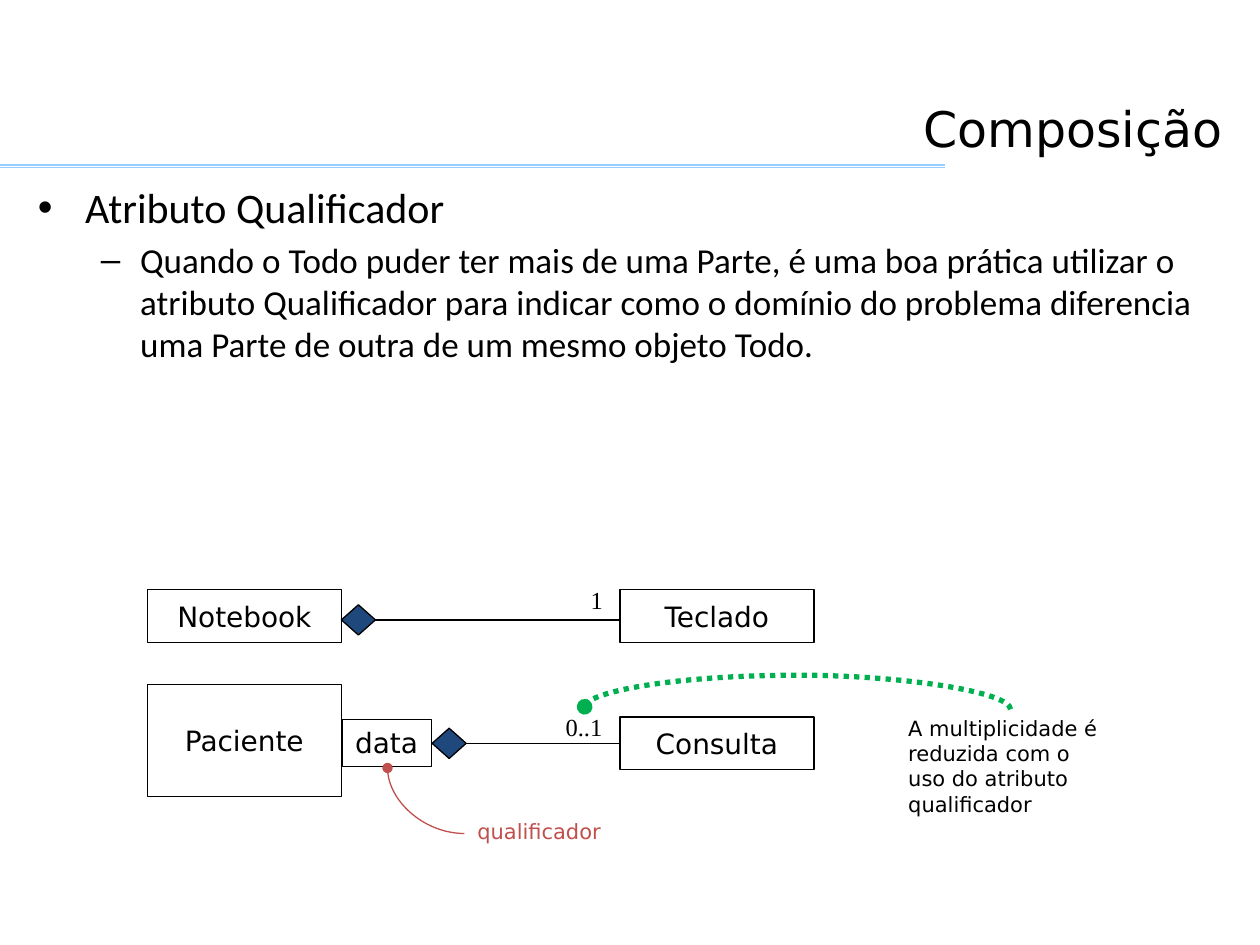
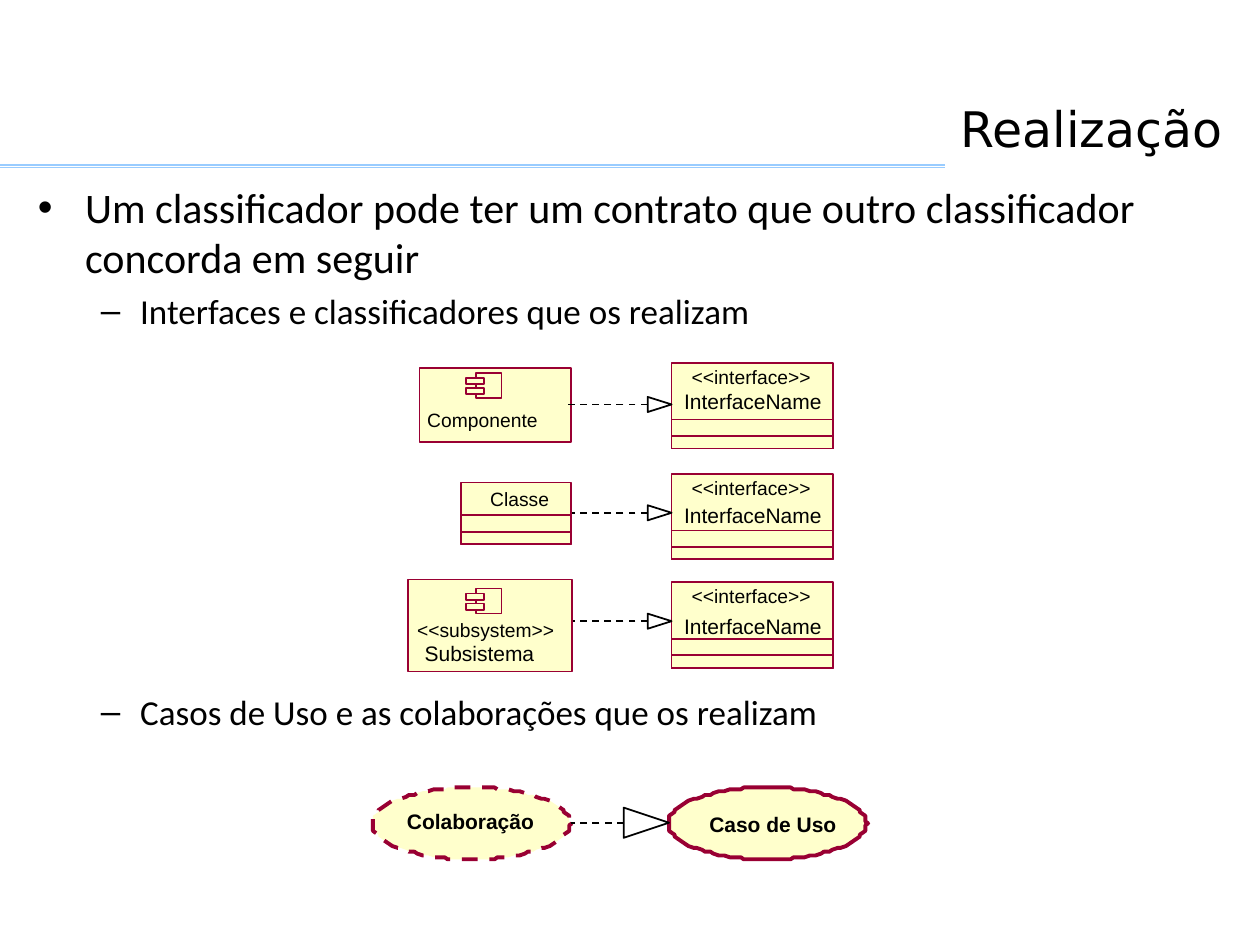
"""Build two UML slides on composition and realization."""
import math

import lxml.etree
import pptx
import pptx.dml.color
import pptx.enum.dml
import pptx.enum.shapes
import pptx.enum.text
import pptx.oxml.ns
import pptx.util

PX = 9144
RGB = pptx.dml.color.RGBColor
BLACK = RGB(0x00, 0x00, 0x00)
WHITE = RGB(0xFF, 0xFF, 0xFF)
RULE = RGB(0x99, 0xCC, 0xFF)
NAVY = RGB(0x1F, 0x49, 0x7D)
RED = RGB(0xC0, 0x50, 0x4D)
GREEN = RGB(0x00, 0xB0, 0x50)
CREAM = RGB(0xFF, 0xFF, 0xCC)
WINE = RGB(0x99, 0x00, 0x33)
SANS, SERIF, ARIAL, BODY = "DejaVu Sans", "Times New Roman", "Arial", "Calibri"
DASH = pptx.enum.dml.MSO_LINE.DASH
DOTS = pptx.enum.dml.MSO_LINE.ROUND_DOT
SHAPE = pptx.enum.shapes.MSO_SHAPE
CONNECTOR = pptx.enum.shapes.MSO_CONNECTOR
ALIGN = pptx.enum.text.PP_ALIGN
ANCHOR = pptx.enum.text.MSO_ANCHOR
FIT = pptx.enum.text.MSO_AUTO_SIZE
qn = pptx.oxml.ns.qn


def px(*values):
    return [pptx.util.Emu(round(v * PX)) for v in values]


class Deck:
    def __init__(self):
        self.prs = pptx.Presentation()
        self.prs.slide_width, self.prs.slide_height = px(1000, 750)
        self.s = None

    def font(self, p, size, name, color=BLACK, bold=False):
        f = p.font
        f.size, f.name, f.bold = pptx.util.Pt(size), name, bold
        f.color.rgb = color

    def stroke(self, line, color, width, dash=None):
        line.color.rgb = color
        line.width = pptx.util.Pt(width)
        if dash:
            line.dash_style = dash

    def place(self, sp, *box):
        sp.left, sp.top, sp.width, sp.height = px(*box)

    def slide(self, title, items):
        self.s = self.prs.slides.add_slide(self.prs.slide_layouts[1])
        sp = self.s.shapes.title
        self.place(sp, 18, 28, 962, 102)
        tf = sp.text_frame
        tf.text = title
        tf.vertical_anchor = ANCHOR.BOTTOM
        tf.paragraphs[0].alignment = ALIGN.RIGHT
        self.font(tf.paragraphs[0], 28, SANS)
        sp = self.s.placeholders[1]
        self.place(sp, 20, 139, 961, 590)
        tf = sp.text_frame
        tf.auto_size = FIT.NONE
        for i, (level, text, before) in enumerate(items):
            p = tf.add_paragraph() if i else tf.paragraphs[0]
            p.text, p.level = text, level
            if before is not None:
                p.space_before = pptx.util.Pt(before)
            self.font(p, 20 if level else 24, BODY)
        for y in (131, 133):
            self.line(0, y, 750, y, RULE)

    def connector(self, kind, ends, color, width, dash=None):
        c = self.s.shapes.add_connector(kind, *px(*ends))
        self.stroke(c.line, color, width, dash)
        lxml.etree.SubElement(c.element.spPr, qn("a:effectLst"))
        return c

    def line(self, x1, y1, x2, y2, color=BLACK, width=0.75, dash=None):
        return self.connector(CONNECTOR.STRAIGHT, (x1, y1, x2, y2), color, width, dash)

    def curve(self, x, y, w, h, preset, flip, oval, color, width, dash=None, bend=None):
        c = self.connector(CONNECTOR.CURVE, (x, y, x + w, y + h), color, width, dash)
        c.rotation = 270
        c.element.spPr.find(qn("a:xfrm")).set(flip, "1")
        geom = c.element.spPr.find(qn("a:prstGeom"))
        geom.set("prst", preset)
        if bend:
            lxml.etree.SubElement(geom.find(qn("a:avLst")), qn("a:gd"),
                                  name="adj1", fmla=f"val {bend}")
        ln = c.element.spPr.find(qn("a:ln"))
        lxml.etree.SubElement(ln, qn(oval), type="oval")

    def paint(self, sp, fill, color, width, dash=None):
        sp.shadow.inherit = False
        if fill is None:
            sp.fill.background()
        else:
            sp.fill.solid()
            sp.fill.fore_color.rgb = fill
        self.stroke(sp.line, color, width, dash)

    def shape(self, x, y, w, h, fill=CREAM, color=WINE, width=1, kind=SHAPE.RECTANGLE):
        sp = self.s.shapes.add_shape(kind, *px(x, y, w, h))
        self.paint(sp, fill, color, width)
        return sp

    def box(self, text, x, y, w, h, fill=WHITE, width=0.75, align=ALIGN.CENTER, anchor=ANCHOR.MIDDLE):
        tf = self.shape(x, y, w, h, fill, BLACK, width).text_frame
        tf.word_wrap = False
        tf.vertical_anchor = anchor
        tf.text = text
        tf.paragraphs[0].alignment = align
        self.font(tf.paragraphs[0], 16, SANS)

    def text(self, text, x, y, w, h, size, name, color=BLACK, bold=False, wrap=False, inset=True):
        tf = self.s.shapes.add_textbox(*px(x, y, w, h)).text_frame
        tf.word_wrap = wrap
        tf.auto_size = FIT.SHAPE_TO_FIT_TEXT
        if not inset:
            tf.margin_left = tf.margin_top = tf.margin_right = tf.margin_bottom = 0
        tf.text = text
        self.font(tf.paragraphs[0], size, name, color, bold)

    def label(self, text, x, y, w, size=11, bold=False):
        self.text(text, x, y, w, size + 8, size, ARIAL, bold=bold, inset=False)

    def outline(self, points, fill, color, width, dash=None):
        points = [px(*pt) for pt in points]
        fb = self.s.shapes.build_freeform(*points[0])
        fb.add_line_segments(points[1:], close=True)
        self.paint(fb.convert_to_shape(), fill, color, width, dash)

    def diamond(self, x, y):
        self.shape(x, y, 27, 24, NAVY, BLACK, 0.75, SHAPE.DIAMOND)

    def classifier(self, x, y, w, h):
        for part in (h, 23, 10):
            self.shape(x, y + h - part, w, part)

    def component_icon(self, y):
        self.shape(378, y, 20, 20)
        for dy in (12, 4):
            self.shape(370, y + dy, 14, 5)

    def realization(self, x, tip, y, length, half):
        base = tip - length
        self.line(base, y, x, y, BLACK, 1, DASH)
        self.outline([(tip, y), (base, y + half), (base, y - half)], None, BLACK, 1)

    def use_case(self, x, y, dash=None):
        angles = [2 * math.pi * i / 112 for i in range(112)]
        points = [(x + math.floor(36 + 36 * math.cos(a)) * 158 / 72,
                   y + round(19 + 19 * math.sin(a)) * 1.5) for a in angles]
        self.outline(points, CREAM, WINE, 2.25, dash)


def composition(d):
    d.slide("Composição", [
        (0, "Atributo Qualificador", 0),
        (1, "Quando o Todo puder ter mais de uma Parte, é uma boa prática utilizar o "
            "atributo Qualificador para indicar como o domínio do problema diferencia "
            "uma Parte de outra de um mesmo objeto Todo.", None)])
    d.line(330, 590, 492, 590)
    d.text("0..1", 439, 560, 50, 34, 14, SERIF)
    d.box("data", 272, 571, 70, 37, width=0.25, align=ALIGN.LEFT, anchor=ANCHOR.TOP)
    d.box("Teclado", 492, 468, 154, 42)
    d.line(298, 492, 492, 492)
    d.box("Notebook", 117, 468, 154, 42, None)
    d.diamond(271, 480)
    d.box("Paciente", 117, 543, 154, 89, None)
    d.diamond(343, 578)
    d.text("1", 459, 459, 30, 34, 14, SERIF)
    d.box("Consulta", 492, 569, 154, 42)
    d.text("qualificador", 369, 645, 121, 30, 12, SANS, RED)
    d.curve(312, 605, 52, 61, "curvedConnector2", "flipH", "a:headEnd", RED, 0.75)
    d.text("A multiplicidade é reduzida com o uso do atributo qualificador",
           711, 563, 182, 91, 12, SANS, wrap=True)
    d.curve(632, 393, 2, 338, "curvedConnector3", "flipV", "a:tailEnd", GREEN, 3, DOTS, 1350000)


def realization(d):
    d.slide("Realização", [
        (0, "Um classificador pode ter um contrato que outro classificador concorda em seguir", 0),
        (1, "Interfaces e classificadores que os realizam", None),
        (1, "Casos de Uso e as colaborações que os realizam", 205)])
    d.use_case(296, 625, DASH)
    d.use_case(531, 625)
    d.label("Colaboração", 323, 642, 104, 12, True)
    d.label("Caso de Uso", 563, 644, 104, 12, True)
    d.realization(453, 531, 653, 36, 12)
    d.shape(333, 292, 120, 59)
    d.component_icon(296)
    d.label("Componente", 339, 324, 92)
    d.classifier(366, 383, 87, 49)
    d.label("Classe", 389, 387, 50)
    d.shape(324, 460, 130, 73)
    d.component_icon(467)
    d.label("<<subsystem>>", 331, 491, 118)
    d.label("Subsistema", 337, 508, 92, 12)
    for y, name_y, arrow_y, x in ((288, 308, 321, 451), (376, 399, 407, 454), (462, 487, 493, 455)):
        d.classifier(533, y, 128, 68)
        d.label("<<interface>>", 549, y + 2, 100)
        d.label("InterfaceName", 543, name_y, 114, 12)
        d.realization(x, 533, arrow_y, 19, 6)


def main():
    d = Deck()
    composition(d)
    realization(d)
    d.prs.save("out.pptx")


if __name__ == "__main__":
    main()
